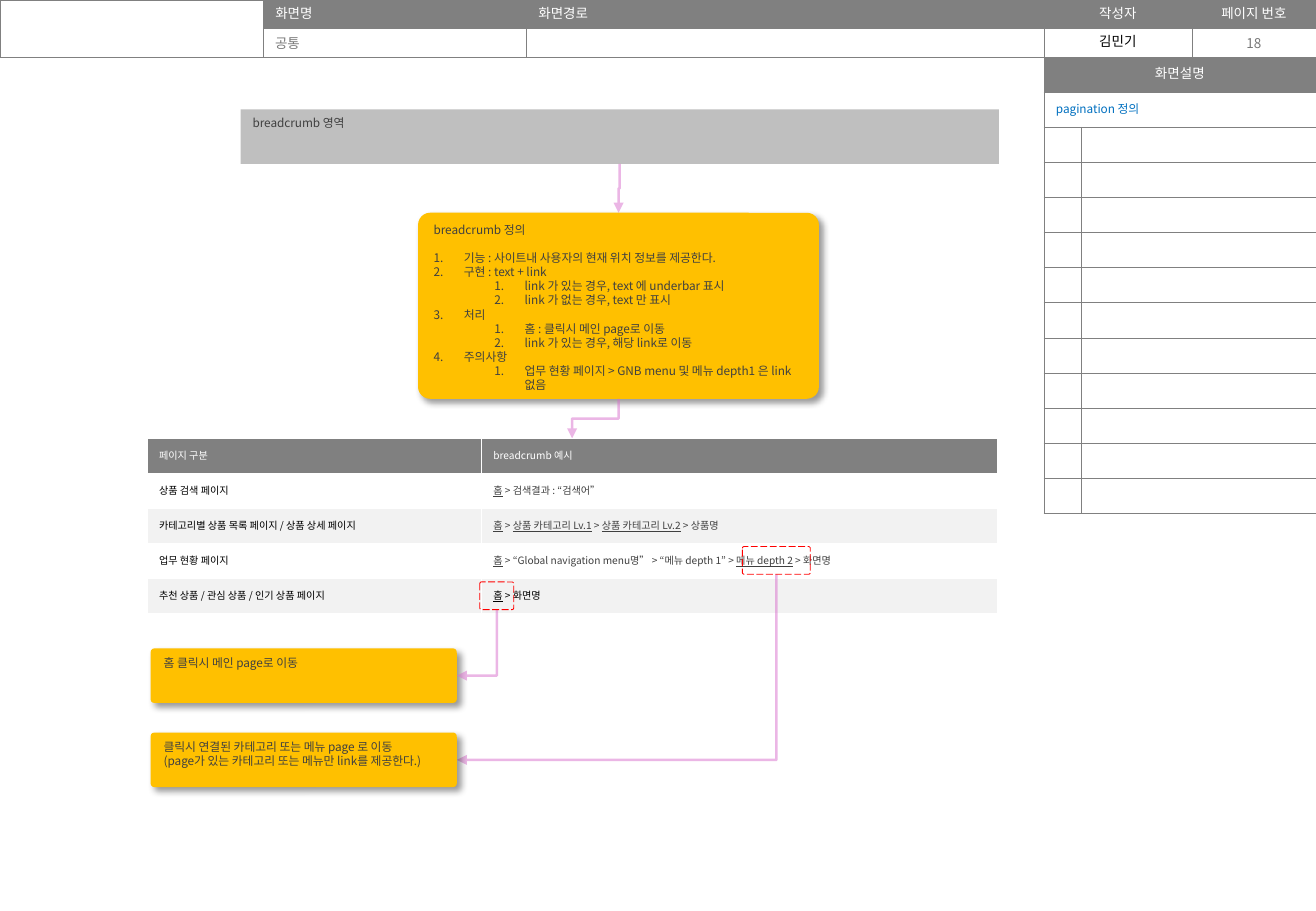
from lxml.etree import SubElement
from pptx import Presentation
from pptx.dml.color import RGBColor
from pptx.enum.dml import MSO_LINE
from pptx.enum.shapes import MSO_CONNECTOR, MSO_SHAPE
from pptx.enum.text import MSO_ANCHOR as ANCHOR, PP_ALIGN as ALIGN
from pptx.oxml.ns import qn
from pptx.util import Cm, Pt

FONT = "Noto Sans CJK KR"
WHITE, BLACK, GRAY, DARK = "FFFFFF", "000000", "808080", "404040"
MUTED, AMBER, PINK = "797979", "FFC000", "D86ECC"

DEFINITION = [
    (0, "기능 : 사이트내 사용자의 현재 위치 정보를 제공한다."),
    (0, "구현 : text + link"),
    (1, "link 가 있는 경우, text 에 underbar 표시"),
    (1, "link 가 없는 경우, text 만 표시"),
    (0, "처리"),
    (1, "홈 : 클릭시 메인 page로 이동"),
    (1, "link 가 있는 경우, 해당 link로 이동"),
    (0, "주의사항"),
    (1, "업무 현황 페이지 > GNB menu 및 메뉴 depth1 은 link 없음"),
]
EXAMPLES = [
    ("상품 검색 페이지", ["홈", " > 검색결과 : “검색어”"], DARK),
    ("카테고리별 상품 목록 페이지 / 상품 상세 페이지",
     ["홈", " > ", "상품 카테고리 Lv.1", " > ", "상품 카테고리 Lv.2", " > 상품명"], DARK),
    ("업무 현황 페이지",
     ["홈", " > “Global navigation menu명” > “메뉴 depth 1” > ", "메뉴 depth 2", " > 화면명"], DARK),
    ("추천 상품 / 관심 상품 / 인기 상품 페이지", ["홈", " > 화면명"], BLACK),
]


def rgb(color):
    """Turn a hex string into a colour."""
    return RGBColor.from_string(color)


def add_run(p, text, size, color, underline=False):
    """Add one styled run to a paragraph."""
    r = p.add_run()
    r.text = text
    r.font.size, r.font.name = Pt(size), FONT
    r.font.color.rgb = rgb(color)
    if underline:
        r.font.underline = True
    SubElement(r._r.get_or_add_rPr(), qn("a:ea"), typeface=FONT)


def write(tf, lines, size, color, align=ALIGN.LEFT):
    """Write plain lines into a text frame."""
    for i, line in enumerate(lines):
        p = tf.add_paragraph() if i else tf.paragraphs[0]
        p.alignment, p.line_spacing = align, Pt(size * 1.2)
        add_run(p, line, size, color)


def number(p, level):
    """Make a paragraph an automatically numbered item."""
    p.level = level
    pPr = p._p.get_or_add_pPr()
    pPr.set("marL", str(Cm(0.635 + 1.27 * level)))
    pPr.set("indent", str(-Cm(0.635)))
    SubElement(pPr, qn("a:buFont"), typeface="+mj-lt")
    SubElement(pPr, qn("a:buAutoNum"), type="arabicPeriod")


def add_label(slide, box, text, color, align, anchor=ANCHOR.MIDDLE):
    """Place a small text box over a header cell."""
    tf = slide.shapes.add_textbox(*map(Cm, box)).text_frame
    tf.word_wrap, tf.vertical_anchor = True, anchor
    write(tf, [text], 8, color, align)


def add_grid(slide, box, widths, rows, border, width):
    """Add an unstyled table with even rows and uniform borders."""
    table = slide.shapes.add_table(rows, len(widths), *map(Cm, box)).table
    table.first_row = table.horz_banding = False
    for col, w in zip(table.columns, widths):
        col.width = Cm(w)
    for row in table.rows:
        row.height = Cm(box[3] / rows)
    for cell in table.iter_cells():
        tcPr = cell._tc.get_or_add_tcPr()
        for side in ("lnL", "lnR", "lnT", "lnB"):
            ln = SubElement(tcPr, qn(f"a:{side}"), w=str(Pt(width)))
            SubElement(SubElement(ln, qn("a:solidFill")), qn("a:srgbClr"), val=border)
        cell.fill.background()
        cell.vertical_anchor = ANCHOR.MIDDLE
        SubElement(cell.text_frame.paragraphs[0]._p, qn("a:endParaRPr"), sz="600")
    return table


def fill_cell(cell, text, size, color, fill=None, align=ALIGN.LEFT):
    """Write one line into a cell and paint it."""
    write(cell.text_frame, [text], size, color, align)
    if fill:
        cell.fill.solid()
        cell.fill.fore_color.rgb = rgb(fill)


def add_header(slide, box):
    """Draw the page header with its labels and values."""
    x, y, w, h = box
    widths = [5.5, 5.5, 10.82, 3.1, 2.59]
    table = add_grid(slide, box, widths, 2, GRAY, 0.25)
    table.cell(0, 0).merge(table.cell(1, 0))
    for i, text in enumerate(["화면명", "화면경로", "작성자", "페이지 번호"], 1):
        align = ALIGN.CENTER if i > 2 else ALIGN.LEFT
        fill_cell(table.cell(0, i), text, 8, WHITE, GRAY, align)
    left = [x + sum(widths[:i]) for i in range(5)]
    add_label(slide, (left[3], y + 0.56, 3.1, 0.6), "김민기", BLACK, ALIGN.CENTER, ANCHOR.TOP)
    add_label(slide, (left[4], y + h / 2, 2.59, h / 2), "18", MUTED, ALIGN.CENTER)
    add_label(slide, (left[1], y + h / 2, 5.5, h / 2), "공통", MUTED, ALIGN.LEFT)


def add_description(slide, box):
    """Draw the description panel on the right."""
    table = add_grid(slide, box, [0.78, 4.91], 13, GRAY, 0.25)
    for row in (0, 1):
        table.cell(row, 0).merge(table.cell(row, 1))
    fill_cell(table.cell(0, 0), "화면설명", 8, WHITE, GRAY, ALIGN.CENTER)
    fill_cell(table.cell(1, 0), "pagination 정의", 7, "0070C0")


def add_examples(slide, box):
    """Draw the table of breadcrumb examples."""
    table = add_grid(slide, box, [6.99, 10.79], 5, WHITE, 1)
    for col, text in enumerate(["페이지 구분", "breadcrumb 예시"]):
        fill_cell(table.cell(0, col), text, 6, WHITE, GRAY)
    for row, (page, trail, color) in enumerate(EXAMPLES, 1):
        fill = WHITE if row % 2 else "F2F2F2"
        fill_cell(table.cell(row, 0), page, 6, BLACK, fill)
        cell = table.cell(row, 1)
        fill_cell(cell, trail[0], 6, color, fill)
        p = cell.text_frame.paragraphs[0]
        p.runs[0].font.underline = True
        for i, text in enumerate(trail[1:], 1):
            add_run(p, text, 6, color, i % 2 == 0)


def add_panel(slide, box, fill, lines, corner=0.065):
    """Draw a filled panel with top-left text."""
    sp = slide.shapes.add_shape(MSO_SHAPE.ROUNDED_RECTANGLE, *map(Cm, box))
    sp.adjustments[0] = corner
    sp.shadow.inherit = False
    sp.fill.solid()
    sp.fill.fore_color.rgb = rgb(fill)
    sp.line.fill.background()
    sp.text_frame.vertical_anchor = ANCHOR.TOP
    write(sp.text_frame, lines, 7, DARK)
    return sp


def add_note(slide, box, lines):
    """Draw an amber note with a soft shadow."""
    sp = add_panel(slide, box, AMBER, lines)
    effects = sp._element.spPr.find(qn("a:effectLst"))
    shadow = SubElement(effects, qn("a:outerShdw"), blurRad=str(Pt(4)), dist=str(Pt(3)),
                        dir="2700000", algn="tl", rotWithShape="0")
    color = SubElement(shadow, qn("a:srgbClr"), val=BLACK)
    SubElement(color, qn("a:alpha"), val="40000")
    return sp


def add_definition(slide, box):
    """Draw the note that defines the breadcrumb."""
    tf = add_note(slide, box, ["breadcrumb 정의"]).text_frame
    for i, (level, text) in enumerate(DEFINITION):
        p = tf.add_paragraph()
        number(p, level)
        p.alignment, p.line_spacing = ALIGN.LEFT, Pt(8.4)
        if i == 0:
            p.space_before = Pt(8.4)
        add_run(p, text, 7, DARK)


def add_mark(slide, box):
    """Draw a dashed red frame."""
    sp = slide.shapes.add_shape(MSO_SHAPE.ROUNDED_RECTANGLE, *map(Cm, box))
    sp.adjustments[0] = 0.065
    sp.shadow.inherit = False
    sp.fill.background()
    sp.line.color.rgb = rgb("FF0000")
    sp.line.width, sp.line.dash_style = Pt(0.5), MSO_LINE.LONG_DASH


def add_arrow(slide, source, target, to_side=False):
    """Lead an elbow arrow from the bottom of one box to the top or right side of another."""
    x1, y1 = source[0] + source[2] / 2, source[1] + source[3]
    x, y, w, h = target
    x2, y2 = (x + w, y + h / 2) if to_side else (x + w / 2, y)
    mid_x, mid_y, half_w, half_h = (x1 + x2) / 2, (y1 + y2) / 2, (y2 - y1) / 2, (x1 - x2) / 2
    ends = (mid_x - half_w, mid_y - half_h, mid_x + half_w, mid_y + half_h)
    line = slide.shapes.add_connector(MSO_CONNECTOR.ELBOW, *map(Cm, ends))
    line.line.color.rgb, line.line.width = rgb(PINK), Pt(1.5)
    spPr = line._element.spPr
    spPr.find(qn("a:xfrm")).set("rot", "5400000")
    if to_side:
        spPr.find(qn("a:prstGeom")).set("prst", "bentConnector2")
    ln = spPr.find(qn("a:ln"))
    SubElement(ln.find(".//" + qn("a:srgbClr")), qn("a:alpha"), val="50000")
    SubElement(ln, qn("a:tailEnd"), type="triangle")
    SubElement(spPr, qn("a:effectLst"))


def main():
    """Build the breadcrumb slide."""
    prs = Presentation()
    prs.slide_width, prs.slide_height = Cm(27.51), Cm(19.05)
    slide = prs.slides.add_slide(prs.slide_layouts[6])
    area, definition = (5.03, 2.29, 15.85, 1.14), (8.74, 4.45, 8.38, 3.89)
    examples = (3.07, 9.17, 17.78, 3.66)
    home_note, link_note = [(3.15, y, 6.4, 1.14) for y in (13.56, 15.32)]
    home_mark, link_mark = (10.03, 12.17, 0.71, 0.58), (15.52, 11.43, 1.42, 0.58)
    add_header(slide, (0, 0, 27.51, 1.19))
    add_description(slide, (21.82, 1.19, 5.69, 9.55))
    add_panel(slide, area, "BFBFBF", ["breadcrumb 영역"], 0)
    add_definition(slide, definition)
    add_arrow(slide, area, definition)
    add_arrow(slide, definition, examples)
    add_examples(slide, examples)
    add_note(slide, home_note, ["홈 클릭시 메인 page로 이동"])
    add_arrow(slide, home_mark, home_note, True)
    add_arrow(slide, link_mark, link_note, True)
    add_mark(slide, home_mark)
    add_mark(slide, link_mark)
    add_note(slide, link_note, ["클릭시 연결된 카테고리 또는 메뉴 page 로 이동",
                                "(page가 있는 카테고리 또는 메뉴만 link를 제공한다.)"])
    prs.save("out.pptx")


if __name__ == "__main__":
    main()
